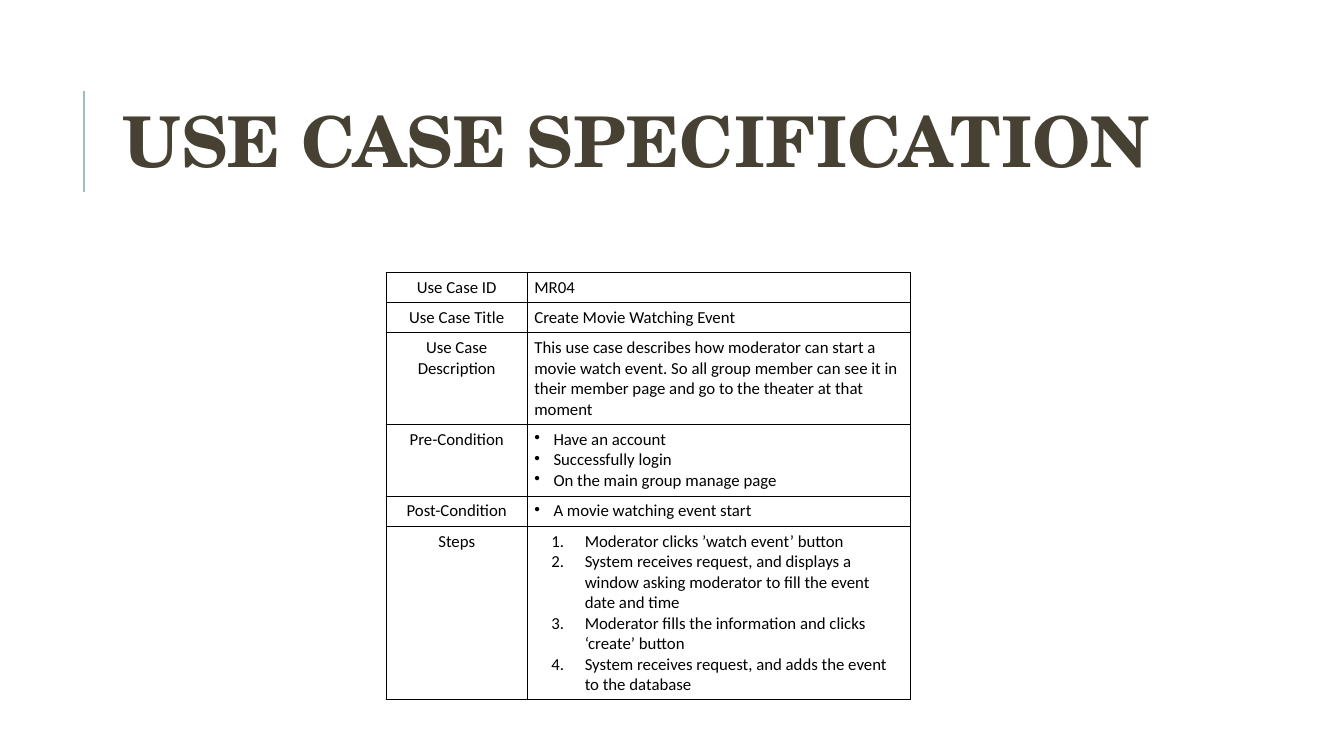
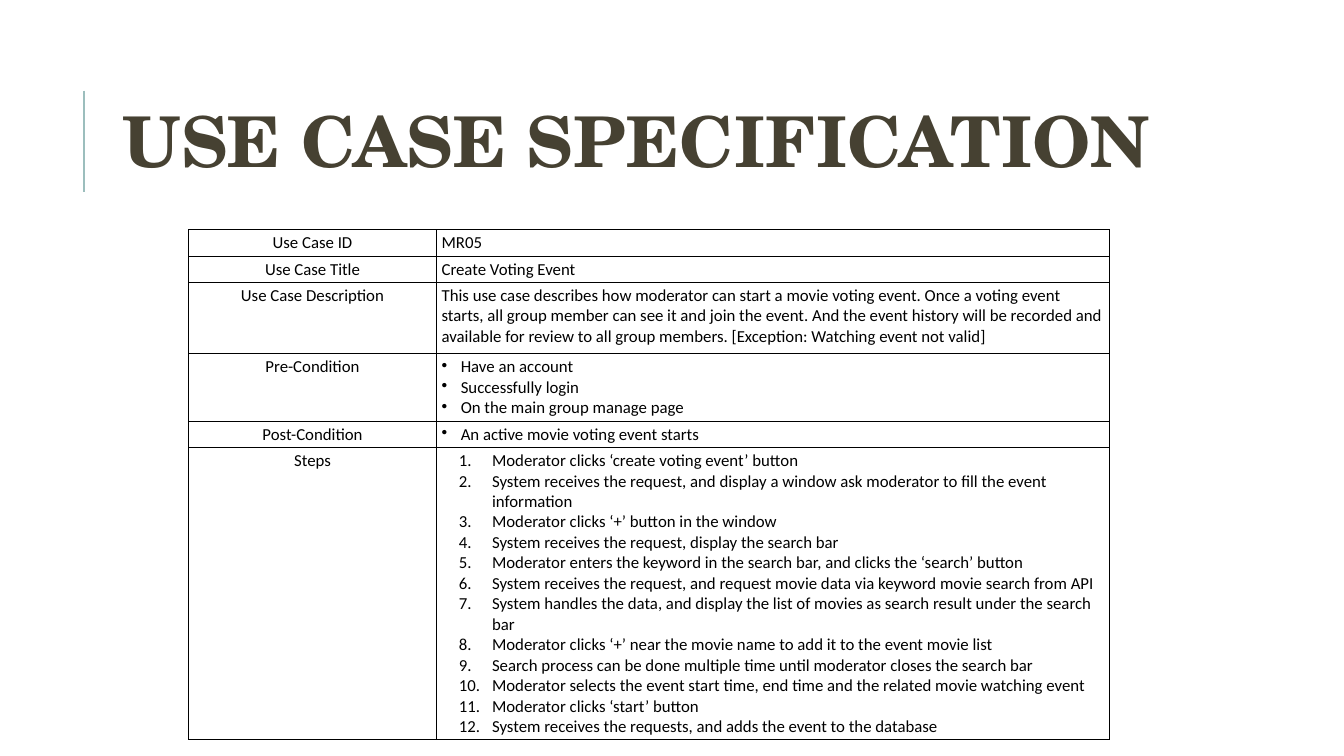
from dataclasses import dataclass

from lxml import etree
from pptx import Presentation
from pptx.dml.color import RGBColor
from pptx.enum.shapes import MSO_CONNECTOR
from pptx.enum.text import MSO_ANCHOR, PP_ALIGN
from pptx.oxml.ns import qn
from pptx.util import Emu, Pt

STRAIGHT = MSO_CONNECTOR.STRAIGHT
MIDDLE = MSO_ANCHOR.MIDDLE
LEFT, CENTER = PP_ALIGN.LEFT, PP_ALIGN.CENTER
PX = 9144  # one px is a hundredth of an inch


@dataclass(frozen=True)
class Theme:
    title_font: str = "TeX Gyre Schola"
    body_font: str = "Calibri"
    title_color: str = "464132"
    body_color: str = "000000"
    accent: str = "9CBEBD"
    title_size: int = 50
    body_size: int = 12
    accent_width: float = 1.5
    border_width: float = 0.75


@dataclass(frozen=True)
class ListStyle:
    tag: str
    attribute: str
    value: str
    margin: int
    hanging: int


@dataclass(frozen=True)
class TableLayout:
    left: int
    top: int
    columns: tuple
    rows: tuple
    side_inset: int
    end_inset: int


THEME = Theme()
BULLETS = ListStyle("a:buChar", "char", "•", 19, 19)
NUMBERS = ListStyle("a:buAutoNum", "type", "arabicPeriod", 50, 33)

# Each row: label, list style (None for plain text), lines
WATCHING_EVENT = [
    ("Use Case ID", None, ["MR04"]),
    ("Use Case Title", None, ["Create Movie Watching Event"]),
    ("Use Case Description", None, [
        "This use case describes how moderator can start a movie watch event. "
        "So all group member can see it in their member page and go to the "
        "theater at that moment"]),
    ("Pre-Condition", BULLETS, [
        "Have an account",
        "Successfully login",
        "On the main group manage page"]),
    ("Post-Condition", BULLETS, ["A movie watching event start"]),
    ("Steps", NUMBERS, [
        "Moderator clicks ’watch event’ button",
        "System receives request, and displays a window asking moderator to "
        "fill the event date and time",
        "Moderator fills the information and clicks ‘create’ button",
        "System receives request, and adds the event to the database"]),
]
VOTING_EVENT = [
    ("Use Case ID", None, ["MR05"]),
    ("Use Case Title", None, ["Create Voting Event"]),
    ("Use Case Description", None, [
        "This use case describes how moderator can start a movie voting event. "
        "Once a voting event starts, all group member can see it and join the "
        "event. And the event history will be recorded and available for review "
        "to all group members. [Exception: Watching event not valid]"]),
    ("Pre-Condition", BULLETS, [
        "Have an account",
        "Successfully login",
        "On the main group manage page"]),
    ("Post-Condition", BULLETS, ["An active movie voting event starts"]),
    ("Steps", NUMBERS, [
        "Moderator clicks ‘create voting event’ button",
        "System receives the request, and display a window ask moderator to "
        "fill the event information",
        "Moderator clicks ‘+’ button in the window",
        "System receives the request, display the search bar",
        "Moderator enters the keyword in the search bar, and clicks the "
        "‘search’ button",
        "System receives the request, and request movie data via keyword movie "
        "search from API",
        "System handles the data, and display the list of movies as search "
        "result under the search bar",
        "Moderator clicks ‘+’ near the movie name to add it to the event movie "
        "list",
        "Search process can be done multiple time until moderator closes the "
        "search bar",
        "Moderator selects the event start time, end time and the related "
        "movie watching event",
        "Moderator clicks ‘start’ button",
        "System receives the requests, and adds the event to the database"]),
]
USE_CASES = [
    (TableLayout(383, 270, (140, 380), (30, 30, 91, 71, 30, 172), 7, 5),
     WATCHING_EVENT),
    (TableLayout(187, 228, (246, 667), (26, 26, 71, 67, 26, 290), 5, 3),
     VOTING_EVENT),
]


def px(value):
    return Emu(value * PX)


def add_span(para, text, font, size, color, bold=False):
    span = para.add_run()
    span.text = text
    span.font.name = font
    span.font.size = Pt(size)
    span.font.bold = bold
    span.font.color.rgb = RGBColor.from_string(color)


# Shared parts
def add_accent_line(page):
    line = page.shapes.add_connector(STRAIGHT, px(83), px(90), px(83), px(190))
    line.line.color.rgb = RGBColor.from_string(THEME.accent)
    line.line.width = Pt(THEME.accent_width)
    etree.SubElement(line._element.spPr, qn("a:effectLst"))


def add_title(page, text):
    box = page.shapes.add_textbox(px(112), px(64), px(1063), px(164))
    frame = box.text_frame
    frame.word_wrap = True
    frame.vertical_anchor = MIDDLE
    para = frame.paragraphs[0]
    para.line_spacing = 0.8
    add_span(para, text, THEME.title_font, THEME.title_size,
             THEME.title_color, bold=True)


# Table parts
def add_color(parent, color):
    etree.SubElement(parent, qn("a:srgbClr"), val=color)


def set_borders(cell):
    properties = cell._tc.get_or_add_tcPr()
    for side in ("a:lnL", "a:lnR", "a:lnT", "a:lnB"):
        border = etree.SubElement(properties, qn(side),
                                  w=str(Pt(THEME.border_width)))
        add_color(etree.SubElement(border, qn("a:solidFill")), THEME.body_color)


def set_list_style(para, style):
    properties = para._p.get_or_add_pPr()
    properties.set("marL", str(px(style.margin)))
    properties.set("indent", str(px(-style.hanging)))
    add_color(etree.SubElement(properties, qn("a:buClr")), THEME.body_color)
    marker = etree.SubElement(properties, qn(style.tag))
    marker.set(style.attribute, style.value)


def fill_cell(cell, lines, layout, alignment=LEFT, style=None):
    cell.margin_left = cell.margin_right = px(layout.side_inset)
    cell.margin_top = cell.margin_bottom = px(layout.end_inset)
    set_borders(cell)
    cell.fill.background()
    frame = cell.text_frame
    for index, text in enumerate(lines):
        para = frame.add_paragraph() if index else frame.paragraphs[0]
        para.alignment = alignment
        if style:
            set_list_style(para, style)
        add_span(para, text, THEME.body_font, THEME.body_size, THEME.body_color)


def add_use_case_table(page, layout, rows):
    table = page.shapes.add_table(
        len(rows), len(layout.columns), px(layout.left), px(layout.top),
        px(sum(layout.columns)), px(sum(layout.rows))).table
    table.first_row = table.horz_banding = False
    for column, width in zip(table.columns, layout.columns):
        column.width = px(width)
    for row, height, (label, style, lines) in zip(table.rows, layout.rows, rows):
        row.height = px(height)
        fill_cell(row.cells[0], [label], layout, CENTER)
        fill_cell(row.cells[1], lines, layout, style=style)


def main():
    deck = Presentation()
    deck.slide_width, deck.slide_height = px(1333), px(750)
    blank = deck.slide_layouts[6]
    for layout, rows in USE_CASES:
        page = deck.slides.add_slide(blank)
        add_accent_line(page)
        add_title(page, "USE CASE SPECIFICATION")
        add_use_case_table(page, layout, rows)
    deck.save("out.pptx")


if __name__ == "__main__":
    main()
